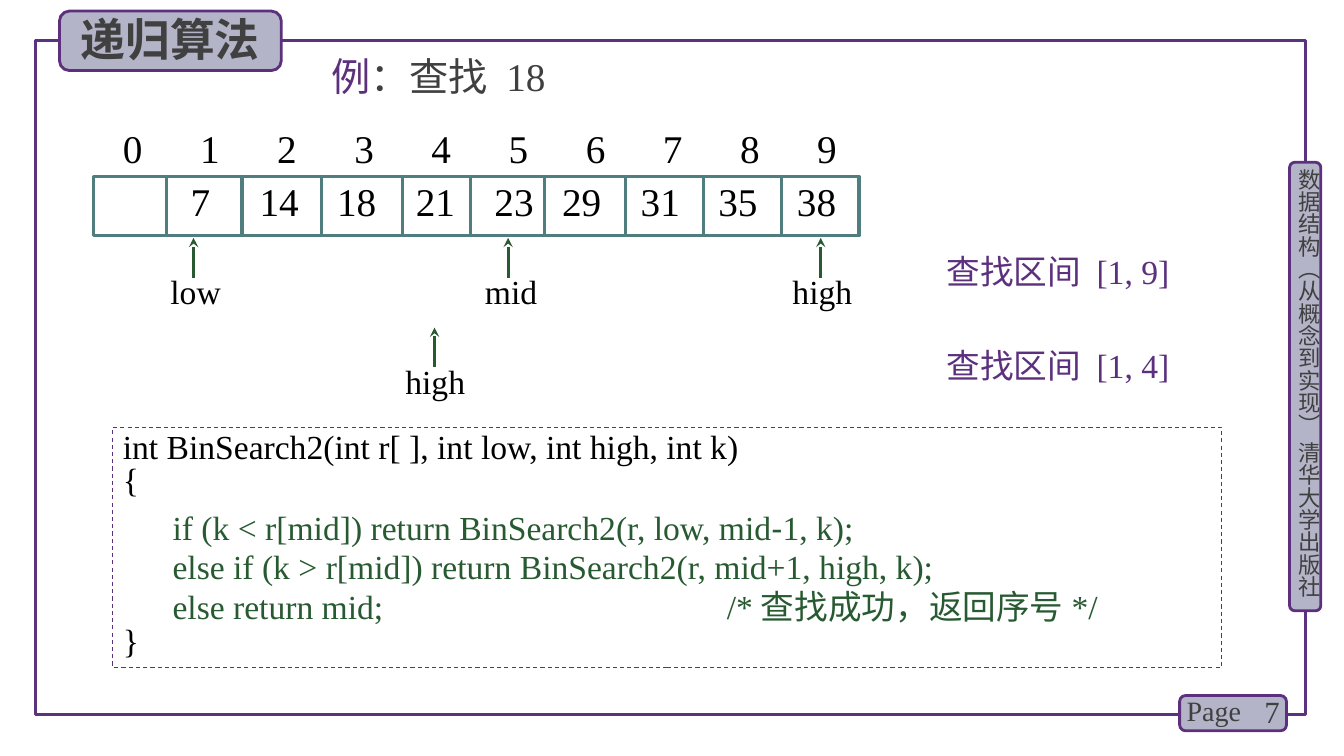
import pptx
import pptx.dml.color
import pptx.enum.dml
import pptx.enum.shapes
import pptx.enum.text
import pptx.oxml.ns
import pptx.util
from lxml import etree

GRID = pptx.util.Inches(0.1)
COLUMNS, ROWS = 133.3, 75
PURPLE, FRAME, PANEL = "5C307D", "5A327D", "B4B4C8"
TEAL, GREEN, GRAY, BLACK = "507D7D", "285A32", "404040", "000000"
SERIF, SANS = "Times New Roman", "Noto Sans CJK SC"
SHAPES = pptx.enum.shapes.MSO_SHAPE
ALIGN = pptx.enum.text.PP_ALIGN
MIDDLE = pptx.enum.text.MSO_ANCHOR.MIDDLE

ARRAY_LEFT, ARRAY_TOP, ARRAY_WIDTH, ARRAY_HEIGHT = 9.3, 17.5, 75.9, 5.9
DIVIDERS = [16.5, 24, 31.9, 39.9, 46.7, 54, 62, 69.8, 77.5]
VALUES = [7, 14, 18, 21, 23, 29, 31, 35, 38]
VALUE_CENTERS = [19.9, 27.7, 35.4, 43.2, 51, 57.7, 65.5, 73.2, 81]
INDEX_PITCH = 7.65


def length(cells):
    return round(cells * GRID)


def color(value):
    return pptx.dml.color.RGBColor.from_string(value)


def assign(target, values):
    for name, value in values.items():
        setattr(target, name, value)


def add_element(parent, tag, **attributes):
    return etree.SubElement(parent, pptx.oxml.ns.qn(tag), **attributes)


def set_line(line, line_color, width):
    line.color.rgb = color(line_color)
    line.width = pptx.util.Pt(width)


def set_frame(frame, inset=(1, 0.5, 1, 0.5), **values):
    left, top, right, bottom = map(length, inset)
    assign(frame, {"word_wrap": True, "margin_left": left, "margin_top": top,
                   "margin_right": right, "margin_bottom": bottom,
                   "vertical_anchor": pptx.enum.text.MSO_ANCHOR.TOP, **values})


def write(paragraph, runs, size, tabs=(), tab_align="l", **values):
    assign(paragraph, {"alignment": ALIGN.LEFT, **values})
    if tabs:
        tab_list = add_element(paragraph._p.get_or_add_pPr(), "a:tabLst")
        for position in tabs:
            add_element(tab_list, "a:tab", pos=str(length(position)), algn=tab_align)
    for text, text_color, font_name, bold in runs:
        run = paragraph.add_run()
        run.text = text
        run.font.color.rgb = color(text_color)
        assign(run.font, {"size": pptx.util.Pt(size), "name": font_name, "bold": bold})
        add_element(run._r.get_or_add_rPr(), "a:ea", typeface=SANS)


def plain(text, text_color=BLACK, font_name=SERIF, bold=False):
    return [(text, text_color, font_name, bold)]


def add_box(shapes, place, preset, line_color, width, fill=None):
    shape = shapes.add_shape(preset, *map(length, place))
    shape.shadow.inherit = False
    if fill:
        shape.fill.solid()
        shape.fill.fore_color.rgb = color(fill)
    else:
        shape.fill.background()
    set_line(shape.line, line_color, width)
    return shape


def add_text(shapes, place, runs, size, frame_values=None, **values):
    shape = shapes.add_textbox(*map(length, place))
    set_frame(shape.text_frame, **(frame_values or {}))
    write(shape.text_frame.paragraphs[0], runs, size, **values)
    return shape


def add_line(shapes, start, end, line_color, arrow=False):
    connector = shapes.add_connector(pptx.enum.shapes.MSO_CONNECTOR.STRAIGHT,
                                     *map(length, start + end))
    set_line(connector.line, line_color, 2.25)
    if arrow:
        add_element(connector.line._get_or_add_ln(), "a:tailEnd", type="stealth")
    add_element(connector._element.spPr, "a:effectLst")


def add_pointer(shapes, label, label_left, arrow_x, arrow_top):
    group = shapes.add_group_shape()
    add_text(group.shapes, (label_left, arrow_top + 3.3, 6.5, 4.7), plain(label), 24,
             {"inset": (0, 0, 0, 0)})
    add_line(group.shapes, (arrow_x, arrow_top + 3.95), (arrow_x, arrow_top), GREEN, True)


def add_page_frame(shapes):
    add_box(shapes, (3.5, 4, COLUMNS - 7.3, ROWS - 8.1), SHAPES.RECTANGLE, FRAME, 2.25)
    for place in [(127.9, 16.1, 3.1, 44.5), (117, 69, 10.6, 3.5), (5.9, 1.1, 22, 5.9)]:
        add_box(shapes, place, SHAPES.ROUNDED_RECTANGLE, PURPLE, 2, PANEL)
    side = add_text(shapes, (128.5, 16.7, 2.7, 44.9),
                    plain("数据结构（从概念到实现） 清华大学出版社", GRAY, SANS), 16,
                    {"inset": (0, 0, 0, 0)})
    side.text_frame._txBody.bodyPr.set("vert", "eaVert")
    add_text(shapes, (122, 68.6, 5.9, 4), plain("7", GRAY), 22,
             {"vertical_anchor": MIDDLE}, alignment=ALIGN.RIGHT)
    add_text(shapes, (116.7, 68.3, 7.8, 4.4), plain("Page", GRAY), 20)
    add_text(shapes, (7, 0.7, 20.5, 6.4), plain("递归算法", GRAY, SANS, True), 32)


def add_array(shapes):
    array = add_box(shapes, (ARRAY_LEFT, ARRAY_TOP, ARRAY_WIDTH, ARRAY_HEIGHT),
                    SHAPES.RECTANGLE, TEAL, 2.25)
    set_frame(array.text_frame, inset=(1, 0.1, 1, 0.1))
    write(array.text_frame.paragraphs[0],
          plain("".join(f"\t{value}" for value in VALUES)), 28,
          [center - ARRAY_LEFT - 1 for center in VALUE_CENTERS], "ctr")
    for x in DIVIDERS:
        add_line(shapes, (x, ARRAY_TOP), (x, ARRAY_TOP + ARRAY_HEIGHT), TEAL)
    add_text(shapes, (11.6, 12.3, 74.2, 4.1), plain("\t".join(map(str, range(10)))), 28,
             {"inset": (0.6, 0, 1, 0.1)},
             tabs=[INDEX_PITCH * index for index in range(1, 10)])


def add_code(shapes):
    outline = add_box(shapes, (11.2, 42.4, 110, 23.8), SHAPES.RECTANGLE, PURPLE, 0.75)
    outline.line.dash_style = pptx.enum.dml.MSO_LINE.DASH
    frame = outline.text_frame
    set_frame(frame)
    shell = [("int BinSearch2(int r[ ], int low, int high, int k)", 0), ("{", 0), ("}", 91)]
    for number, (text, gap) in enumerate(shell):
        paragraph = frame.add_paragraph() if number else frame.paragraphs[0]
        write(paragraph, plain(text), 24, line_spacing=pptx.util.Pt(24),
              space_before=pptx.util.Pt(gap))
    body = [
        plain(" if (k < r[mid]) return BinSearch2(r, low, mid", GREEN)
        + plain("-", GREEN, "Arial") + plain("1, k);", GREEN),
        plain(" else if (k > r[mid]) return BinSearch2(r, mid+1, high, k);", GREEN),
        plain(" else return mid;\t/*查找成功，返回序号*/", GREEN),
    ]
    spacing = {"line_spacing": pptx.util.Pt(28.5), "tabs": [55.8]}
    branches = add_text(shapes, (15.3, 49.8, 100.2, 13.1), body[0], 24, **spacing)
    for runs in body[1:]:
        write(branches.text_frame.add_paragraph(), runs, 24, **spacing)


def main():
    presentation = pptx.Presentation()
    presentation.slide_width = length(COLUMNS)
    presentation.slide_height = length(ROWS)
    slide = presentation.slides.add_slide(presentation.slide_layouts[6])
    shapes = slide.shapes
    add_page_frame(shapes)
    add_array(shapes)
    add_text(shapes, (31.9, 4.7, 23.4, 5.7),
             plain("例", PURPLE) + plain("：查找 18", GRAY), 28)
    for label, label_left, arrow_x, arrow_top in [
        ("low", 16.9, 19.2, 23.6), ("mid", 48.1, 50.4, 23.6),
        ("high", 78.6, 81.4, 23.6), ("high", 40.2, 43.1, 32.5),
    ]:
        add_pointer(shapes, label, label_left, arrow_x, arrow_top)
    for top, interval in [(24.4, "[1, 9]"), (33.7, "[1, 4]")]:
        add_text(shapes, (92.9, top, 27.4, 5), plain(f"查找区间 {interval}", PURPLE), 24)
    add_code(shapes)
    presentation.save("out.pptx")


if __name__ == "__main__":
    main()
